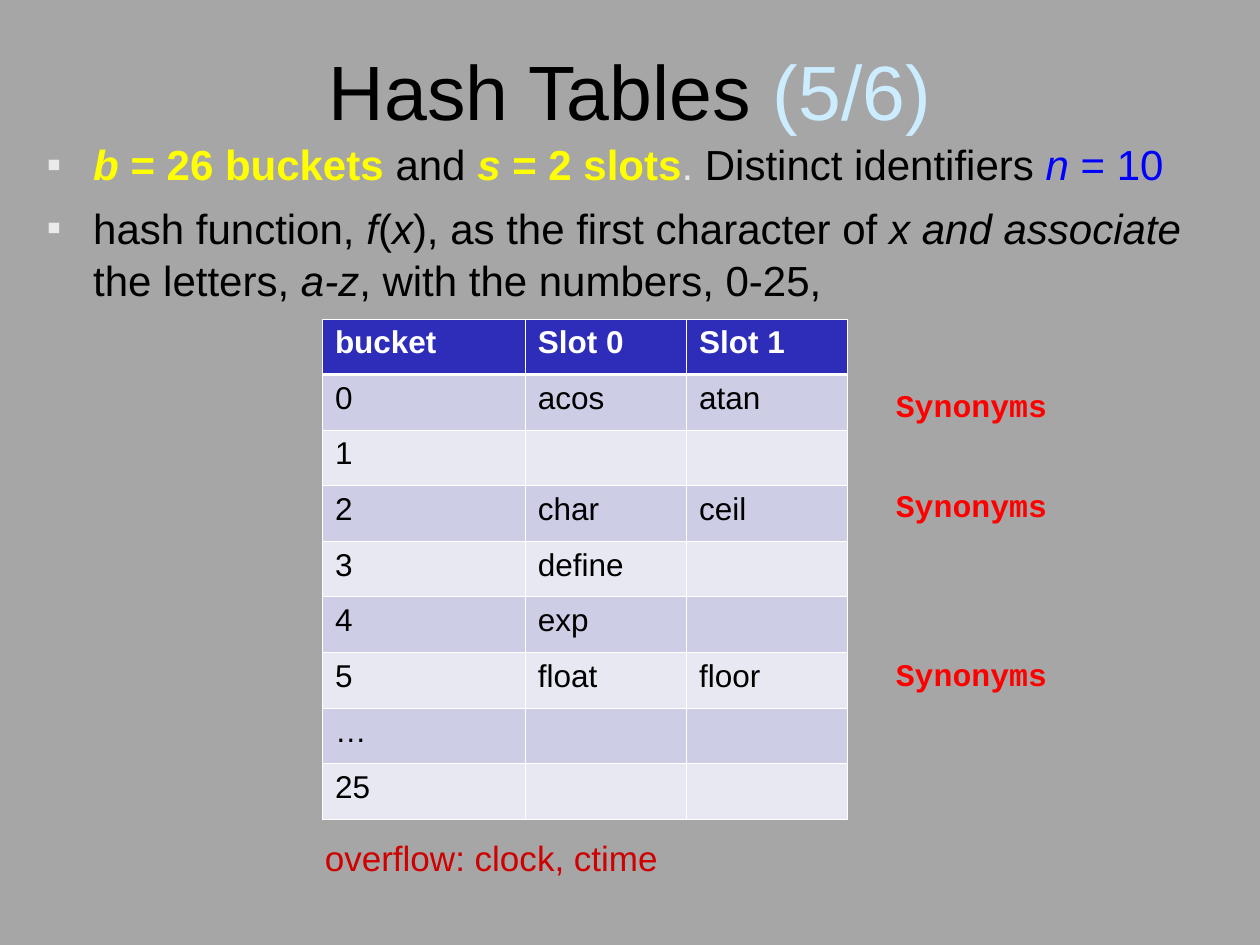
from dataclasses import dataclass
from typing import NamedTuple

from lxml.etree import SubElement
from pptx import Presentation
from pptx.dml.color import RGBColor as Rgb
from pptx.enum.text import MSO_ANCHOR as Anchor, PP_ALIGN as Align
from pptx.oxml.ns import qn
from pptx.util import Cm, Pt


@dataclass(frozen=True)
class Theme:
    back: str = "A6A6A6"
    ink: str = "000000"
    pale: str = "EAEAEA"
    counter: str = "CCECFF"
    key: str = "FFFF00"
    count: str = "0000FF"
    synonym: str = "FF0000"
    overflow: str = "CE0000"
    white: str = "FFFFFF"
    header: str = "2D2DB9"
    bands: tuple[str, str] = ("CDCDE6", "E8E8F3")
    sans: str = "Arial"
    mono: str = "Courier New"
    title_size: int = 44
    body_size: int = 24
    note_size: int = 20
    small_size: int = 18


THEME = Theme()


class Span(NamedTuple):
    text: str
    color: str = THEME.ink
    bold: bool = False
    italic: bool = False


class Label(NamedTuple):
    text: str
    left: float
    top: float
    width: float
    height: float
    font: str
    size: int
    color: str
    bold: bool = False


BULLETS = [
    [
        Span("b ", THEME.key, True, True),
        Span("= 26 buckets ", THEME.key, True),
        Span("and "),
        Span("s", THEME.key, True, True),
        Span(" = 2 slots", THEME.key, True),
        Span(". ", THEME.pale),
        Span("Distinct identifiers "),
        Span("n", THEME.count, italic=True),
        Span(" = 10", THEME.count),
    ],
    [
        Span("hash function, "),
        Span("f", italic=True),
        Span("("),
        Span("x", italic=True),
        Span("), as the first character of "),
        Span("x and associate ", italic=True),
        Span("the letters, "),
        Span("a-z", italic=True),
        Span(", with the numbers, 0-25,"),
    ],
]

BUCKETS = [
    ("bucket", "Slot 0", "Slot 1"),
    ("0", "acos", "atan"),
    ("1", "", ""),
    ("2", "char", "ceil"),
    ("3", "define", ""),
    ("4", "exp", ""),
    ("5", "float", "floor"),
    ("…", "", ""),
    ("25", "", ""),
]
COLUMN_WIDTHS = (4.09, 3.25, 3.25)
ROW_HEIGHT = 1.12

LABELS = [
    Label("Synonyms", 17.81, top, 3.61, 1.78, THEME.mono, THEME.small_size, THEME.synonym, True)
    for top in (7.65, 9.68, 13.08)
] + [
    Label("overflow: clock, ctime", 6.3, 16.74, 7.39, 1.12, THEME.sans, THEME.note_size, THEME.overflow)
]


def style(font, name: str, size: int) -> None:
    font.name = name
    font.size = Pt(size)


def add_span(para, span: Span) -> None:
    run = para.add_run()
    run.text = span.text
    run.font.color.rgb = Rgb.from_string(span.color)
    run.font.bold = span.bold
    run.font.italic = span.italic


def add_bullet(para) -> None:
    props = para._p.get_or_add_pPr()
    props.set("marL", str(Cm(0.94)))
    props.set("indent", str(-Cm(0.94)))
    color = SubElement(props, qn("a:buClr"))
    SubElement(color, qn("a:srgbClr"), val=THEME.pale)
    SubElement(props, qn("a:buFont"), typeface=THEME.sans)
    SubElement(props, qn("a:buChar"), char="▪")


def fill_title(page) -> None:
    title = page.shapes.title
    title.left, title.top, title.width, title.height = Cm(1.27), Cm(0.71), Cm(22.86), Cm(2.21)
    title.fill.solid()
    title.fill.fore_color.rgb = Rgb.from_string(THEME.back)
    title.text_frame.vertical_anchor = Anchor.MIDDLE
    para = title.text_frame.paragraphs[0]
    para.alignment = Align.CENTER
    style(para.font, THEME.sans, THEME.title_size)
    add_span(para, Span("Hash Tables "))
    add_span(para, Span("(5/6)", THEME.counter))


def add_body(page) -> None:
    box = page.shapes.add_textbox(Cm(0.69), Cm(2.62), Cm(24.71), Cm(10.41))
    frame = box.text_frame
    frame.word_wrap = True
    for index, spans in enumerate(BULLETS):
        para = frame.add_paragraph() if index else frame.paragraphs[0]
        add_bullet(para)
        para.line_spacing = 1.05
        para.space_before = Pt(6 if index else 0)
        style(para.font, THEME.sans, THEME.body_size)
        for span in spans:
            add_span(para, span)


def add_label(page, label: Label) -> None:
    box = page.shapes.add_textbox(*map(Cm, (label.left, label.top, label.width, label.height)))
    box.text_frame.word_wrap = True
    para = box.text_frame.paragraphs[0]
    style(para.font, label.font, label.size)
    add_span(para, Span(label.text, label.color, label.bold))


def set_borders(cell, top: float, bottom: float) -> None:
    props = cell._tc.get_or_add_tcPr()
    for index, (side, width) in enumerate((("L", 0.45), ("R", 0.45), ("T", top), ("B", bottom))):
        line = props.makeelement(qn(f"a:ln{side}"), {"w": str(Pt(width))})
        fill = SubElement(line, qn("a:solidFill"))
        SubElement(fill, qn("a:srgbClr"), val=THEME.white)
        props.insert(index, line)


def add_buckets(page) -> None:
    table = page.shapes.add_table(
        len(BUCKETS), len(COLUMN_WIDTHS), Cm(6.5), Cm(6.43),
        Cm(sum(COLUMN_WIDTHS)), Cm(ROW_HEIGHT * len(BUCKETS)),
    ).table
    for column, width in zip(table.columns, COLUMN_WIDTHS):
        column.width = Cm(width)
    for index, (row, texts) in enumerate(zip(table.rows, BUCKETS)):
        row.height = Cm(ROW_HEIGHT)
        heading = index == 0
        fill = THEME.header if heading else THEME.bands[(index - 1) % 2]
        color = THEME.white if heading else THEME.ink
        for cell, text in zip(row.cells, texts):
            cell.fill.solid()
            cell.fill.fore_color.rgb = Rgb.from_string(fill)
            set_borders(cell, 1.47 if index == 1 else 0.45, 1.47 if heading else 0.45)
            para = cell.text_frame.paragraphs[0]
            style(para.font, THEME.sans, THEME.small_size)
            if text:
                add_span(para, Span(text, color, heading))


def main() -> None:
    deck = Presentation()
    deck.slide_width, deck.slide_height = Cm(25.4), Cm(19.05)
    page = deck.slides.add_slide(deck.slide_layouts[5])
    page.background.fill.solid()
    page.background.fill.fore_color.rgb = Rgb.from_string(THEME.back)
    fill_title(page)
    add_body(page)
    for label in LABELS:
        add_label(page, label)
    add_buckets(page)
    deck.save("out.pptx")


if __name__ == "__main__":
    main()
